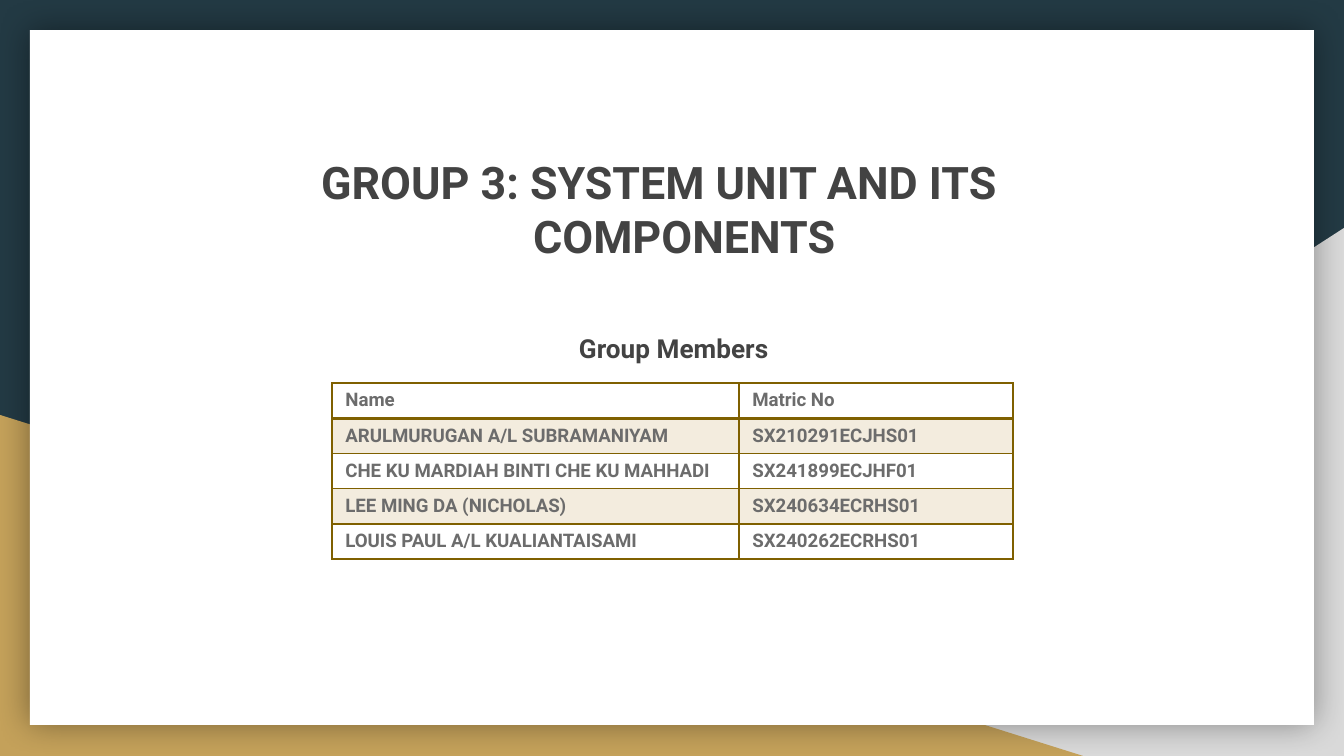
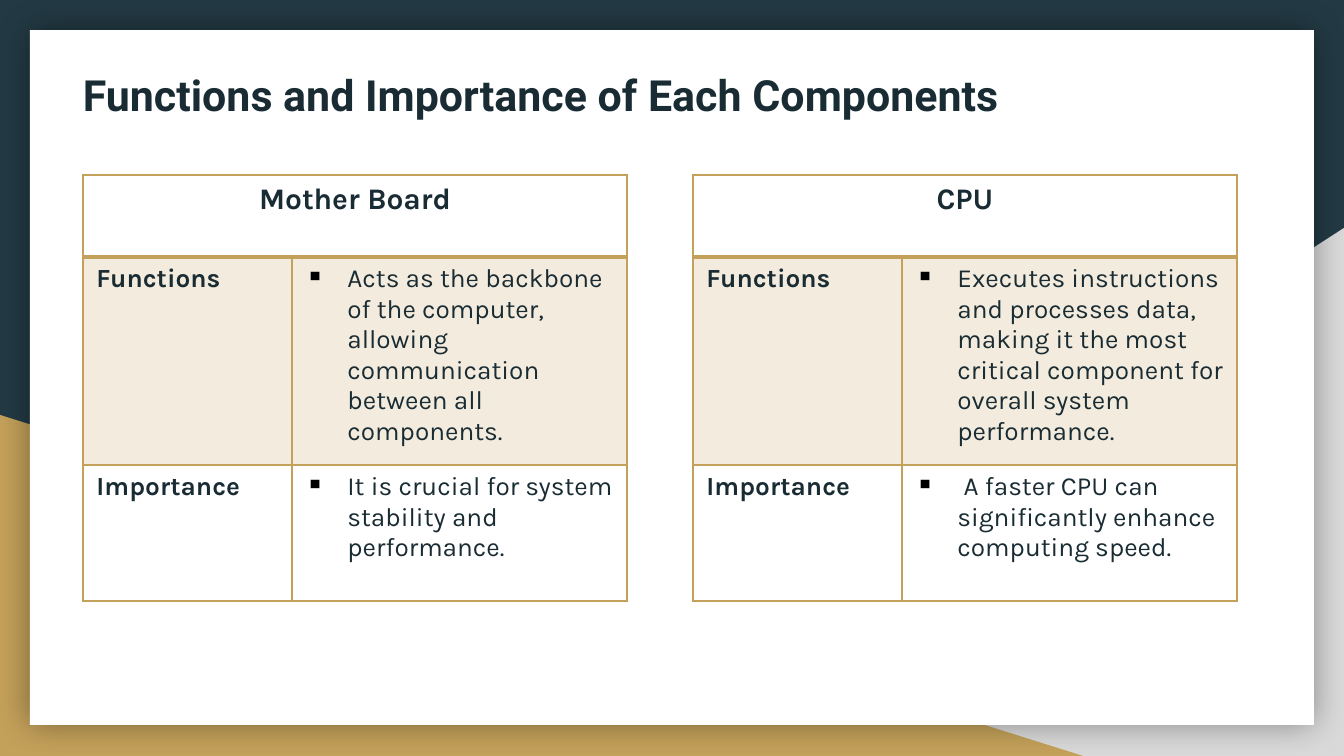
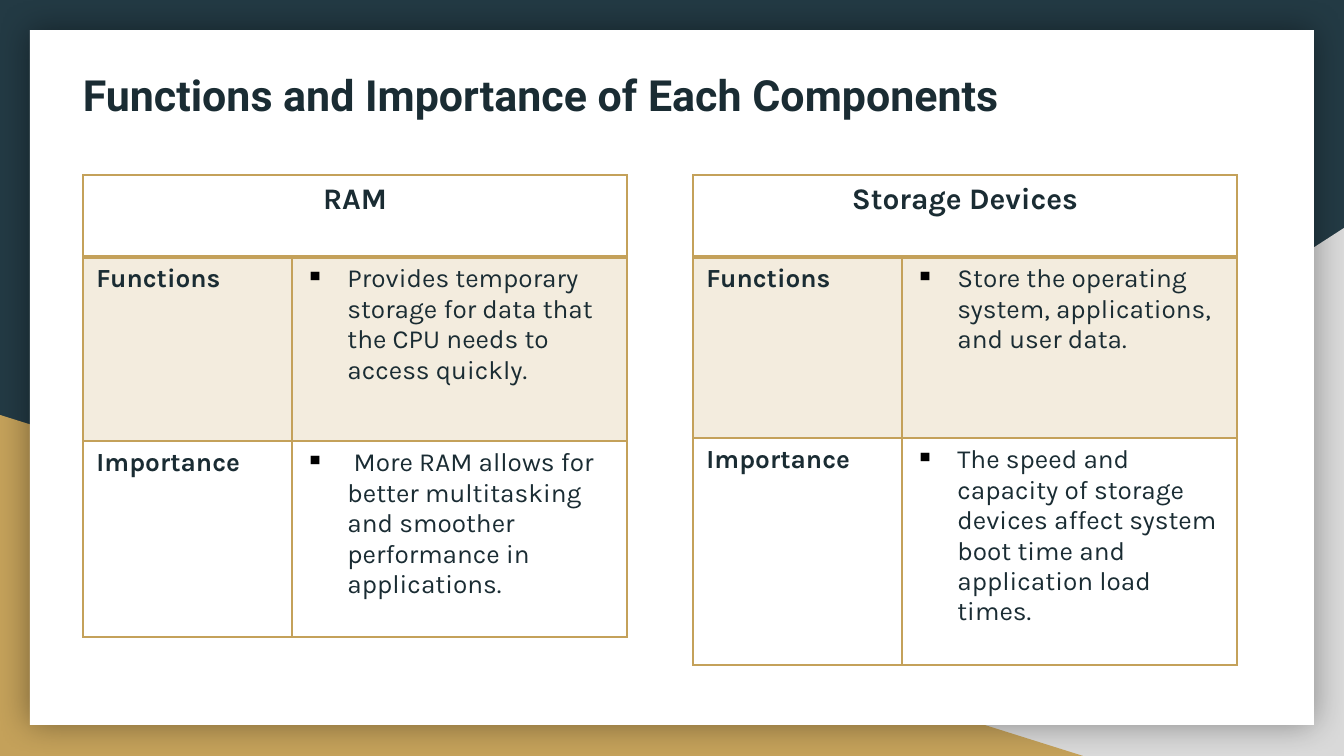
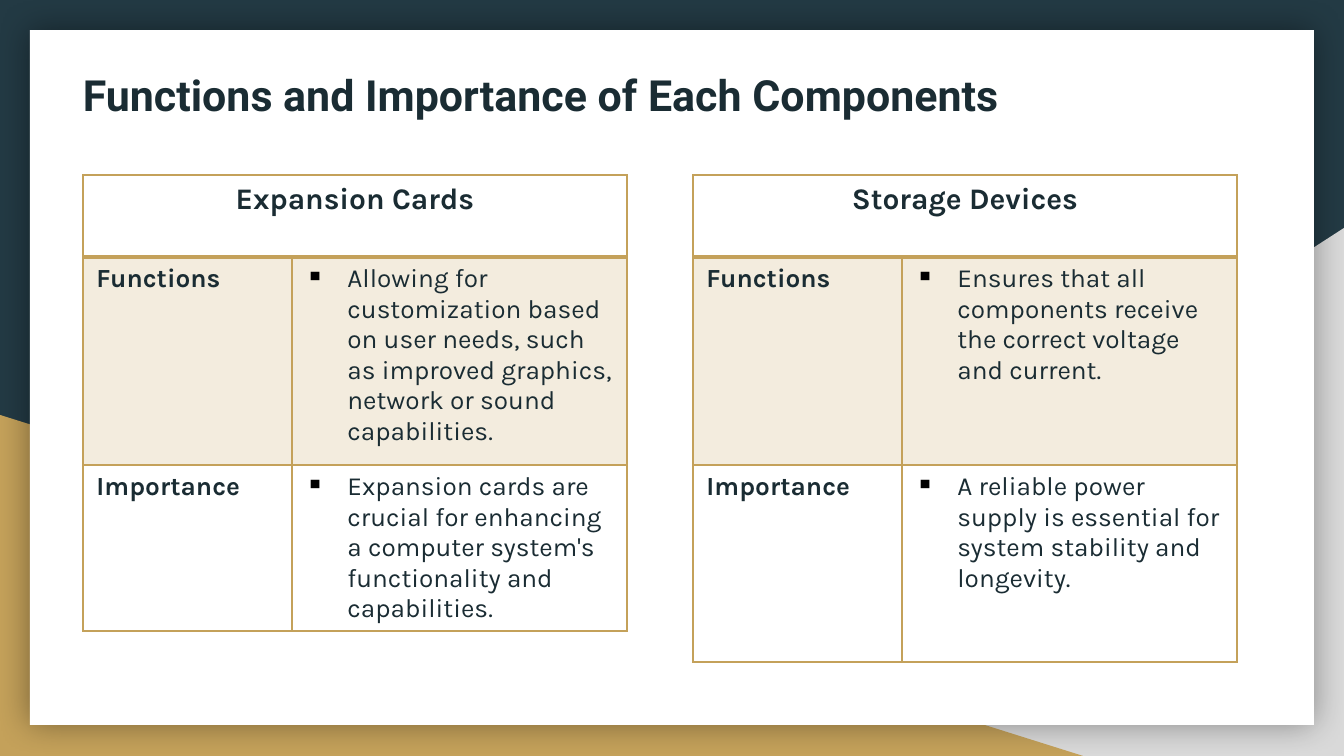
from pptx import Presentation
from pptx.dml.color import RGBColor
from pptx.enum.shapes import MSO_SHAPE as Preset
from pptx.enum.text import MSO_ANCHOR as Anchor, MSO_AUTO_SIZE as AutoSize, PP_ALIGN as Align
from pptx.oxml.ns import qn
from pptx.util import Emu, Pt
from lxml.etree import SubElement

SLIDE_WIDTH, SLIDE_HEIGHT = 1344, 756
EMU_PER_PX = 9144000 / SLIDE_WIDTH

NAVY, GOLD, GREY, WHITE = "233A44", "C4A15A", "D9D9D9", "FFFFFF"
INK, CHARCOAL, MEMBER_GREY, BRONZE = "1A2C33", "434343", "6C6C6C", "7F6000"
BLACK = "000000"

COVER_FONT = {"name": "Roboto", "size": Pt(24), "bold": True, "color": CHARCOAL}
SUBTITLE_FONT = {**COVER_FONT, "size": Pt(14)}
MEMBER_FONT = {"name": "Roboto", "size": Pt(10), "bold": True, "color": MEMBER_GREY}
TITLE_FONT = {"name": "Roboto", "size": Pt(23), "bold": True, "color": INK}
HEADER_FONT = {"name": "Karla", "size": Pt(16), "bold": True, "color": INK}
LABEL_FONT = {**HEADER_FONT, "size": Pt(14)}
DETAIL_FONT = {**LABEL_FONT, "bold": False}

MEMBERS = [
    ("Name", "Matric No"),
    ("ARULMURUGAN A/L SUBRAMANIYAM", "SX210291ECJHS01"),
    ("CHE KU MARDIAH BINTI CHE KU MAHHADI", "SX241899ECJHF01"),
    ("LEE MING DA (NICHOLAS)", "SX240634ECRHS01"),
    ("LOUIS PAUL A/L KUALIANTAISAMI", "SX240262ECRHS01"),
]

COMPONENT_TITLE = "Functions and Importance of Each Components"
COMPONENT_LEFTS = (83, 693)
COMPONENT_TOP = 175
COMPONENT_COLUMNS = (209, 335)
HEADER_HEIGHT = 82

COMPONENT_SLIDES = [
    [
        ("Mother Board", (208, 136),
         "Acts as the backbone of the computer, allowing communication between all components.",
         "It is crucial for system stability and performance."),
        ("CPU", (208, 136),
         "Executes instructions and processes data, making it the most critical component "
         "for overall system performance.",
         " A faster CPU can significantly enhance computing speed."),
    ],
    [
        ("RAM", (184, 196),
         "Provides temporary storage for data that the CPU needs to access quickly.",
         " More RAM allows for better multitasking and smoother performance in applications."),
        ("Storage Devices", (181, 227),
         "Store the operating system, applications, and user data.",
         "The speed and capacity of storage devices affect system boot time and "
         "application load times."),
    ],
    [
        ("Expansion Cards", (208, 166),
         "Allowing for customization based on user needs, such as improved graphics, "
         "network or sound capabilities.",
         "Expansion cards are crucial for enhancing a computer system's functionality "
         "and capabilities."),
        ("Storage Devices", (208, 197),
         "Ensures that all components receive the correct voltage and current.",
         "A reliable power supply is essential for system stability and longevity."),
    ],
]


def px(length):
    return Emu(round(length * EMU_PER_PX))


def rgb(color):
    return RGBColor.from_string(color)


def set_values(target, values):
    for name, value in values.items():
        if name == "color":
            target.color.rgb = rgb(value)
        else:
            setattr(target, name, value)


def place(shape, left, top, width, height):
    set_values(shape, {"left": px(left), "top": px(top),
                       "width": px(width), "height": px(height)})


def fill_solid(fill, color, alpha=None):
    fill.solid()
    fill.fore_color.rgb = rgb(color)
    if alpha is not None:
        add_alpha(fill._xPr.find(qn("a:solidFill")), alpha)


def add_alpha(parent, percent):
    SubElement(parent.find(qn("a:srgbClr")), qn("a:alpha"), val=str(percent * 1000))


def add_color(parent, color):
    SubElement(parent, qn("a:srgbClr"), val=color)


def write(paragraph, text, font, align=Align.LEFT):
    paragraph.alignment = align
    run = paragraph.add_run()
    run.text = text
    set_values(run.font, font)


def indent(paragraph, margin, first_line=0):
    properties = paragraph._p.get_or_add_pPr()
    properties.set("marL", str(px(margin)))
    properties.set("indent", str(px(first_line)))
    return properties


def add_bullet(paragraph):
    properties = indent(paragraph, 42, -42)
    add_color(SubElement(properties, qn("a:buClr")), BLACK)
    SubElement(properties, qn("a:buChar"), char="▪")


def format_frame(text_frame, wrap=True):
    inset = px(13)
    set_values(text_frame, {
        "word_wrap": wrap, "auto_size": AutoSize.NONE, "vertical_anchor": Anchor.TOP,
        "margin_left": inset, "margin_right": inset,
        "margin_top": inset, "margin_bottom": inset,
    })


def add_backdrop_shape(slide, master, position, preset, bounds, color):
    shape = slide.shapes.add_shape(preset, *map(px, bounds))
    shape.shadow.inherit = False
    fill_solid(shape.fill, color)
    shape.line.fill.background()
    shape.element.nvSpPr.cNvPr.set("id", str(100 + position))
    master.shapes.element.insert(2 + position, shape.element)
    return shape


def build_backdrop(presentation, slide):
    master = presentation.slide_master
    fill_solid(master.background.fill, NAVY)
    grey_corner = add_backdrop_shape(
        slide, master, 0, Preset.RIGHT_TRIANGLE, (527, 228, 817, 528), GREY)
    grey_corner.element.spPr.xfrm.set("flipH", "1")
    add_backdrop_shape(slide, master, 1, Preset.RIGHT_TRIANGLE, (0, 415, 1083, 341), GOLD)
    panel = add_backdrop_shape(slide, master, 2, Preset.RECTANGLE, (30, 30, 1284, 695), WHITE)
    effects = panel.element.spPr.find(qn("a:effectLst"))
    shadow = SubElement(effects, qn("a:outerShdw"), blurRad=str(Pt(18)), dist="0",
                        algn="ctr", rotWithShape="0")
    add_color(shadow, BLACK)
    add_alpha(shadow, 40)


def set_borders(cell, color, top=1, bottom=1):
    properties = cell._tc.get_or_add_tcPr()
    for side, width in {"L": 1, "R": 1, "T": top, "B": bottom}.items():
        line = SubElement(properties, qn(f"a:ln{side}"), w=str(Pt(width)))
        add_color(SubElement(line, qn("a:solidFill")), color)


def add_grid(slide, left, top, columns, rows, border):
    frame = slide.shapes.add_table(len(rows), len(columns), px(left), px(top),
                                   px(sum(columns)), px(sum(rows)))
    table = frame.table
    set_values(table, {"first_row": False, "horz_banding": False})
    for column, width in zip(table.columns, columns):
        column.width = px(width)
    for index, (row, height) in enumerate(zip(table.rows, rows)):
        row.height = px(height)
        for cell in row.cells:
            set_borders(cell, border, top=2 if index == 1 else 1, bottom=2 if index == 0 else 1)
            if index % 2:
                fill_solid(cell.fill, GOLD, alpha=20)
            else:
                cell.fill.background()
    return table


def add_component_table(slide, left, component):
    name, heights, functions, importance = component
    table = add_grid(slide, left, COMPONENT_TOP, COMPONENT_COLUMNS,
                     (HEADER_HEIGHT, *heights), GOLD)
    header = table.cell(0, 0)
    header.merge(table.cell(0, 1))
    write(header.text_frame.paragraphs[0], name, HEADER_FONT, Align.CENTER)
    details = (("Functions", functions), ("Importance", importance))
    for row, (label, detail) in enumerate(details, start=1):
        write(table.cell(row, 0).text_frame.paragraphs[0], label, LABEL_FONT)
        paragraph = table.cell(row, 1).text_frame.paragraphs[0]
        add_bullet(paragraph)
        write(paragraph, detail, DETAIL_FONT)


def build_cover(slide):
    title = slide.shapes.title
    place(title, 308, 142, 767, 181)
    format_frame(title.text_frame)
    write(title.text_frame.paragraphs[0], "GROUP 3: SYSTEM UNIT AND ITS", COVER_FONT)
    second_line = title.text_frame.add_paragraph()
    indent(second_line, 212)
    set_values(second_line, {"space_before": Pt(0)})
    write(second_line, "COMPONENTS", COVER_FONT)

    subtitle = slide.shapes.add_textbox(*map(px, (566, 319, 227, 59)))
    format_frame(subtitle.text_frame, wrap=False)
    write(subtitle.text_frame.paragraphs[0], "Group Members", SUBTITLE_FONT)

    table = add_grid(slide, 332, 383, (407, 274), [35] * len(MEMBERS), BRONZE)
    for row, member in zip(table.rows, MEMBERS):
        for cell, text in zip(row.cells, member):
            write(cell.text_frame.paragraphs[0], text, MEMBER_FONT)


def build_component_slide(slide, components):
    title = slide.shapes.title
    place(title, 47, 56, 989, 90)
    format_frame(title.text_frame)
    write(title.text_frame.paragraphs[0], COMPONENT_TITLE, TITLE_FONT, Align.CENTER)
    for left, component in zip(COMPONENT_LEFTS, components):
        add_component_table(slide, left, component)


def main():
    presentation = Presentation()
    set_values(presentation, {"slide_width": px(SLIDE_WIDTH), "slide_height": px(SLIDE_HEIGHT)})
    title_only = presentation.slide_layouts[5]
    cover = presentation.slides.add_slide(title_only)
    build_backdrop(presentation, cover)
    build_cover(cover)
    for components in COMPONENT_SLIDES:
        build_component_slide(presentation.slides.add_slide(title_only), components)
    presentation.save("out.pptx")


if __name__ == "__main__":
    main()
